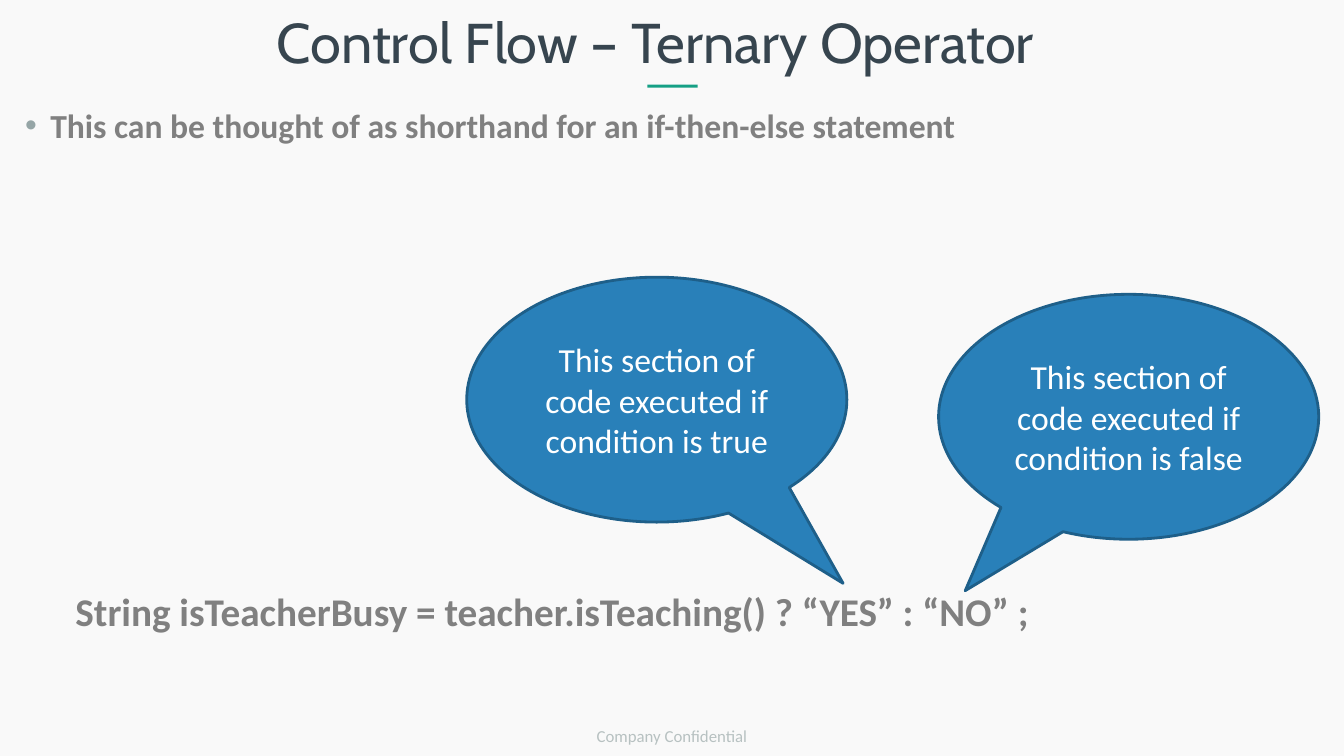
from dataclasses import dataclass

from lxml.etree import SubElement
from pptx import Presentation
from pptx.dml.color import RGBColor
from pptx.enum.shapes import MSO_SHAPE
from pptx.enum.text import MSO_ANCHOR, MSO_AUTO_SIZE, PP_ALIGN
from pptx.oxml.ns import qn
from pptx.util import Inches, Pt


@dataclass(frozen=True)
class Theme:
    background: str = "F9F9F9"
    heading: str = "37454F"
    body: str = "808080"
    bullet: str = "95A5A6"
    accent: str = "16A085"
    footer: str = "B7C1C1"
    callout: str = "2980B9"
    callout_edge: str = "1E5F89"
    callout_text: str = "FFFFFF"
    heading_font: str = "Cabin"
    body_font: str = "Calibri"
    heading_size: int = 40
    code_size: int = 28
    body_size: int = 24
    footer_size: int = 12


THEME = Theme()


def rgb(value):
    return RGBColor.from_string(value)


def place(part, left, top, width, height):
    part.left, part.top = Inches(left), Inches(top)
    part.width, part.height = Inches(width), Inches(height)


def write(part, text, *, size=THEME.body_size, color=THEME.body, font=THEME.body_font,
          bold=False, align=PP_ALIGN.LEFT, anchor=MSO_ANCHOR.TOP, spacing=None, bullet=None):
    """Fill a shape with one formatted paragraph."""
    frame = part.text_frame
    frame.text = text
    frame.word_wrap = True
    frame.auto_size = MSO_AUTO_SIZE.NONE
    frame.vertical_anchor = anchor
    paragraph = frame.paragraphs[0]
    paragraph.alignment = align
    paragraph.line_spacing = spacing
    if bullet:
        add_bullet(paragraph, bullet)
    style = paragraph.runs[0].font
    style.name, style.size, style.bold = font, Pt(size), bold
    style.color.rgb = rgb(color)


def add_bullet(paragraph, mark, indent=0.25):
    properties = paragraph._p.get_or_add_pPr()
    properties.set("marL", str(Inches(indent)))
    properties.set("indent", str(-Inches(indent)))
    SubElement(SubElement(properties, qn("a:buClr")), qn("a:srgbClr"), val=THEME.bullet)
    SubElement(properties, qn("a:buFont"), typeface="Arial")
    SubElement(properties, qn("a:buChar"), char=mark)


def add_text(slide, box, text, **style):
    write(slide.shapes.add_textbox(*map(Inches, box)), text, **style)


def add_filled(slide, kind, box, fill):
    part = slide.shapes.add_shape(kind, *map(Inches, box))
    part.shadow.inherit = False
    part.fill.solid()
    part.fill.fore_color.rgb = rgb(fill)
    part.line.fill.background()
    return part


def add_heading(slide, box, text):
    """Place the title and the short accent rule below it."""
    left, top, width, height = box
    title = slide.shapes.title
    place(title, *box)
    write(title, text, size=THEME.heading_size, color=THEME.heading,
          font=THEME.heading_font, align=PP_ALIGN.CENTER)
    rule_box = (left + width / 2 - 0.08, top + height + 0.05, 0.5, 0.03)
    add_filled(slide, MSO_SHAPE.RECTANGLE, rule_box, THEME.accent)


def add_body(slide, box, point, code):
    """Place the bullet at the top of the box and the code line near its foot."""
    left, top, width, height = box
    add_text(slide, (left, top, width, 0.65), point, bold=True, spacing=1.2, bullet="•")
    add_text(slide, (left + 0.5, top + height - 1.27, width - 0.5, 0.6), code,
             size=THEME.code_size, bold=True, anchor=MSO_ANCHOR.MIDDLE)


def add_callout(slide, box, tip, text):
    """Draw a speech bubble; tip is the pointer offset from its centre, per box size."""
    bubble = add_filled(slide, MSO_SHAPE.OVAL_CALLOUT, box, THEME.callout)
    bubble.adjustments[0], bubble.adjustments[1] = tip
    bubble.line.color.rgb = rgb(THEME.callout_edge)
    bubble.line.width = Pt(2)
    write(bubble, text, color=THEME.callout_text, align=PP_ALIGN.CENTER,
          anchor=MSO_ANCHOR.MIDDLE)


def add_footer(slide, box, text):
    add_text(slide, box, text, size=THEME.footer_size, color=THEME.footer,
             align=PP_ALIGN.CENTER, anchor=MSO_ANCHOR.MIDDLE)


def build_ternary_slide(deck):
    slide = deck.slides.add_slide(deck.slide_layouts[5])
    slide.background.fill.solid()
    slide.background.fill.fore_color.rgb = rgb(THEME.background)

    add_heading(slide, (1.73, 0.02, 9.54, 0.77), "Control Flow – Ternary Operator")
    add_body(slide, (0.15, 0.91, 12.79, 6.12),
             "This can be thought of as shorthand for an if-then-else statement",
             "String isTeacherBusy = teacher.isTeaching() ? “YES” : “NO” ;")
    add_footer(slide, (5.08, 7.1, 3.17, 0.4), "Company Confidential")
    branches = [("true", 4.63, 2.75, (0.49, 0.75)), ("false", 9.31, 2.92, (-0.43, 0.71))]
    for outcome, left, top, tip in branches:
        add_callout(slide, (left, top, 3.77, 2.43), tip,
                    f"This section of code executed if condition is {outcome}")


def main():
    deck = Presentation()
    deck.slide_width, deck.slide_height = Inches(13.33), Inches(7.5)
    build_ternary_slide(deck)
    deck.save("out.pptx")


if __name__ == "__main__":
    main()
